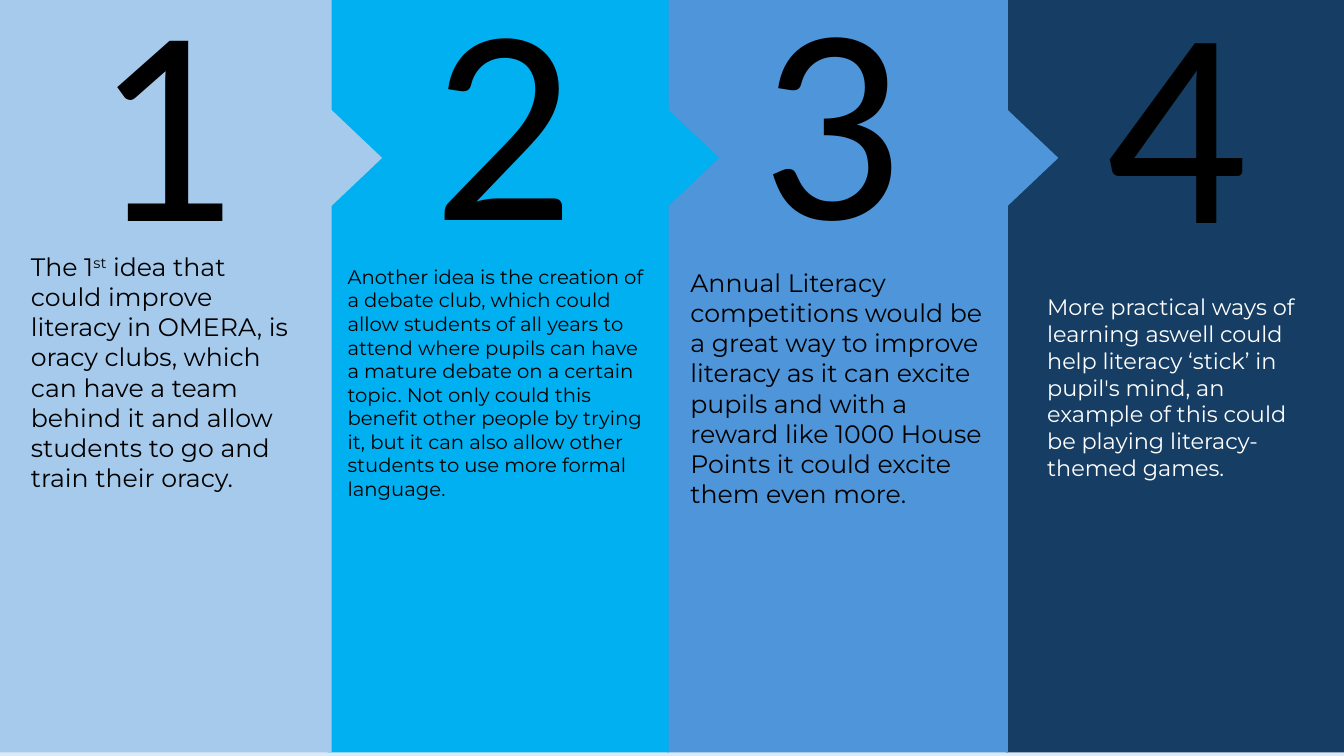
from pptx import Presentation
from pptx.dml.color import RGBColor
from pptx.enum.shapes import MSO_SHAPE
from pptx.enum.text import MSO_AUTO_SIZE
from pptx.util import Cm, Pt

RECT, TRIANGLE = MSO_SHAPE.RECTANGLE, MSO_SHAPE.ISOSCELES_TRIANGLE
GROW = MSO_AUTO_SIZE.SHAPE_TO_FIT_TEXT

# Content: number, panel (left, width), number (left, top),
# body (left, top, width, height), body runs as (text, is superscript)
IDEAS = [
    dict(number="1", panel=(0, 8.36), number_at=(2.11, -1.6), body_at=(0.53, 6.2, 7.11, 6.4),
         body=[("The 1", False), ("st", True),
               (" idea that could improve literacy in OMERA, is oracy clubs, which can have "
                "a team behind it and allow students to go and train their oracy.", False)]),
    dict(number="2", panel=(8.26, 8.59), number_at=(10.64, -1.63), body_at=(8.51, 6.55, 8.03, 6.25),
         body=[("Another idea is the creation of a debate club, which could allow students of "
                "all years to attend where pupils can have a mature debate on a certain topic. "
                "Not only could this benefit other people by trying it, but it can also allow "
                "other students to use more formal language.", False)]),
    dict(number="3", panel=(16.81, 8.59), number_at=(18.92, -1.65), body_at=(17.15, 6.6, 8.03, 6.4),
         body=[("Annual Literacy competitions would be a great way to improve literacy as it "
                "can excite pupils and with a reward like 1000 House Points it could excite "
                "them even more.", False)]),
    dict(number="4", panel=(25.35, 8.61), number_at=(27.61, -1.55), body_at=(26.14, 7.26, 6.81, 5.74),
         body=[("More practical ways of learning aswell could help literacy ‘stick’ in pupil's "
                "mind, an example of this could be playing literacy-themed games.", False)]),
]

THEME = dict(
    background="DCEAF7",
    panels=["A6CAEC", "00B0F0", "4E95D9", "163E64"],
    number=dict(name="Calibri", size=200, color="000000"),
    bodies=[dict(name="Montserrat", size=size, color=color)
            for size, color in [(18, "000000"), (14, "000000"), (18, "000000"), (16, "FFFFFF")]],
)

# Shared measures in cm
SLIDE_W, SLIDE_H = 33.87, 19.05
PANEL_TOP = -0.09
NUMBER_W, NUMBER_H = 5.77, 8.81
ARROW_BASE, ARROW_DEPTH = 2.56, 1.35
ARROW_REACH, ARROW_MIDDLE = 1.27, 3.98


def add_filled(shapes, kind, box, color):
    sp = shapes.add_shape(kind, *map(Cm, box))
    sp.shadow.inherit = False
    sp.fill.solid()
    sp.fill.fore_color.rgb = RGBColor.from_string(color)
    sp.line.fill.background()
    return sp


def add_text(shapes, box, runs, style):
    tf = shapes.add_textbox(*map(Cm, box)).text_frame
    tf.word_wrap = True
    tf.auto_size = GROW
    for text, raised in runs:
        r = tf.paragraphs[0].add_run()
        r.text = text
        for key, value in dict(name=style["name"], size=Pt(style["size"])).items():
            setattr(r.font, key, value)
        r.font.color.rgb = RGBColor.from_string(style["color"])
        if raised:
            r._r.get_or_add_rPr().set("baseline", "30000")


prs = Presentation()
prs.slide_width, prs.slide_height = Cm(SLIDE_W), Cm(SLIDE_H)
s = prs.slides.add_slide(prs.slide_layouts[6])
s.background.fill.solid()
s.background.fill.fore_color.rgb = RGBColor.from_string(THEME["background"])

# Panels from right to left, so each arrow lies over the next panel
for i, idea in reversed(list(enumerate(IDEAS))):
    shapes = s.shapes.add_group_shape().shapes
    left, width = idea["panel"]
    color = THEME["panels"][i]
    add_filled(shapes, RECT, (left, PANEL_TOP, width, SLIDE_H), color)
    add_text(shapes, (*idea["number_at"], NUMBER_W, NUMBER_H),
             [(idea["number"], False)], THEME["number"])
    add_text(shapes, idea["body_at"], idea["body"], THEME["bodies"][i])

    # Arrow tip pointing into the next panel
    if i < len(IDEAS) - 1:
        middle_x = left + width + ARROW_REACH - ARROW_DEPTH / 2
        box = (middle_x - ARROW_BASE / 2, ARROW_MIDDLE - ARROW_DEPTH / 2, ARROW_BASE, ARROW_DEPTH)
        add_filled(shapes, TRIANGLE, box, color).rotation = 90

prs.save("out.pptx")
